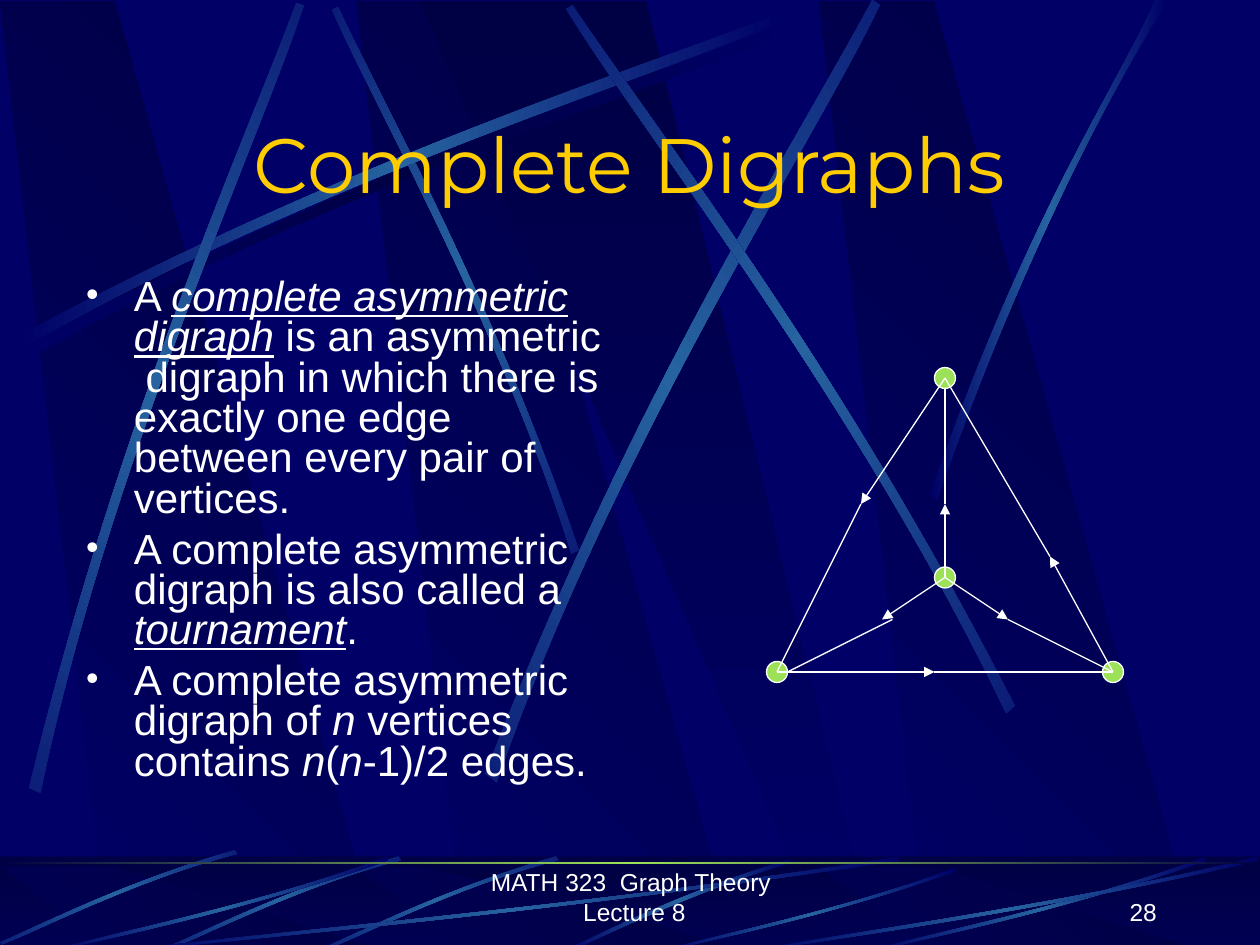
from math import cos, radians, sin

from lxml import etree
from pptx import Presentation
from pptx.dml.color import RGBColor
from pptx.enum.shapes import MSO_CONNECTOR, MSO_SHAPE
from pptx.enum.text import MSO_ANCHOR, MSO_AUTO_SIZE, PP_ALIGN
from pptx.oxml.ns import qn
from pptx.util import Inches, Pt

RECT, OVAL = MSO_SHAPE.RECTANGLE, MSO_SHAPE.OVAL
LINE = MSO_CONNECTOR.STRAIGHT
LEFT, MID, RIGHT = PP_ALIGN.LEFT, PP_ALIGN.CENTER, PP_ALIGN.RIGHT

NAVY, DARK, BLUE = "000066", "000044", "2663A0"
GREEN, WHITE, GOLD = "9CE157", "FFFFFF", "FFCC00"
GLOW = (NAVY, BLUE, NAVY)

# A streak is a curve out and a curve back, four points each.
LONG = [(0.14, 2.67), (2.78, 1.25), (5.18, 0.51), (6.2, 0.1),
        (6.23, 0.16), (5.22, 0.61), (2.48, 1.43), (0.17, 2.77)]
TILTED = [  # turn, centre, points
    (45, (3.62, 2.23),
     [(4.6, 4.36), (3.91, 2.34), (3.02, 0.77), (2.69, 0.05),
      (2.64, 0.07), (2.95, 0.79), (3.98, 2.58), (4.54, 4.39)]),
    (0, (3.18, 1.44), LONG),
    (311.7, (1.33, 3.16),
     [(0.23, 6.25), (0.93, 3.34), (1.97, 1.05), (2.35, 0.02),
      (2.41, 0.04), (2.07, 1.08), (0.86, 3.68), (0.32, 6.29)]),
    (321.6, (5.43, 3.11),
     [(3.85, 6.14), (4.98, 3.2), (6.38, 1.02), (6.92, 0),
      (6.98, 0.04), (6.49, 1.08), (4.86, 3.55), (3.94, 6.21)]),
    (34.8, (6.27, 2.86),
     [(8.06, 5.6), (6.7, 2.93), (5.16, 0.95), (4.55, 0.04),
      (4.5, 0.07), (5.07, 1.01), (6.85, 3.25), (7.99, 5.66)]),
    (0, (8.33, 1.99),
     [(7.38, 3.93), (8.14, 1.73), (8.88, 0.66), (9.17, 0),
      (9.27, 0), (8.36, 1.45), (7.69, 3.22), (7.44, 3.97)]),
]
ARC = [(4.42, 6.8), (3.55, 7.05), (2.87, 7.4), (2.56, 7.53),
       (2.57, 7.55), (2.88, 7.43), (3.65, 7.03), (4.44, 6.83)]
CREST = [(6.27, 6.82), (5.37, 7.09), (4.77, 7.42), (4.48, 7.54),
         (4.53, 7.55), (4.9, 7.37), (5.71, 7), (6.28, 6.85)]
SWEEP = [(3.08, 6.83), (1.93, 7.23), (0.88, 7.44), (0.43, 7.55),
         (0.42, 7.54), (0.86, 7.41), (2.06, 7.18), (3.07, 6.8)]
SWEEPS = [(1, 2.31, 0), (0.42, 1, 0), (5.27, 0.87, 0.09),
          (6.92, 1, 0), (6, 1.5, 0)]  # left, stretch, drop

POINTS = [
    [("A ", ""), ("complete asymmetric digraph", "iu"),
     (" is an asymmetric  digraph in which there is exactly one edge "
      "between every pair of vertices.", "")],
    [("A complete asymmetric digraph is also called a ", ""),
     ("tournament", "iu"), (".", "")],
    [("A complete asymmetric digraph of ", ""), ("n", "i"),
     (" vertices contains ", ""), ("n", "i"), ("(", ""), ("n", "i"),
     ("-1)/2 edges.", "")],
]

# The graph lies on a grid of twelfths of an inch.
WEST, EAST, TOP, HUB = (74, 64), (106, 64), (90, 36), (90, 55)
EDGES = [  # start, arrow tip, start of the rest, end
    (WEST, (89, 64), (89, 64), EAST),
    (EAST, (100, 53), (100, 53), TOP),
    (TOP, (82, 48), (82, 48), WEST),
    (HUB, (90, 48), (90, 48), (90, 37)),
    (HUB, (84, 59), (85, 59), (75, 64)),
    (HUB, (96, 59), (96, 59), EAST),
]


def rgb(code):
    return RGBColor.from_string(code)


def sub(node, tag, **attrs):
    return etree.SubElement(node, qn(tag), attrs)


def blend(shape, codes, angle):
    """Fill with evenly spaced colours; the angle runs clockwise."""
    shape.shadow.inherit = False
    shape.line.fill.background()
    shape.fill.gradient()
    shape.fill.gradient_angle = -angle % 360
    stops = shape._element.spPr.find(qn("a:gradFill")).find(qn("a:gsLst"))
    for stop in list(stops):
        stops.remove(stop)
    for i, code in enumerate(codes):
        spot = sub(stops, "a:gs", pos=str(100000 * i // (len(codes) - 1)))
        sub(spot, "a:srgbClr", val=code)


def outline(shapes, spots, codes, angle=0):
    spots = [(Inches(x), Inches(y)) for x, y in spots]
    pen = shapes.build_freeform(*spots[0], scale=1.0)
    pen.add_line_segments(spots[1:], close=True)
    shape = pen.convert_to_shape()
    blend(shape, codes, angle)
    return shape


def bend(shape):
    """Turn lines 1 to 3 and 5 to 7 of an outline into two curves."""
    lines = list(shape._element.spPr.iter(qn("a:lnTo")))
    for trio in (lines[:3], lines[4:7]):
        arc = etree.Element(qn("a:cubicBezTo"))
        trio[0].addprevious(arc)
        for line in trio:
            arc.append(line[0])
            line.getparent().remove(line)


def streak(shapes, spots, codes=GLOW, turn=0, hub=(0, 0)):
    """Draw a streak level about its hub, then turn it into place."""
    cs, sn = cos(radians(turn)), sin(radians(turn))
    level = []
    for x, y in spots:
        dx, dy = x - hub[0], y - hub[1]
        level.append((hub[0] + dx * cs + dy * sn, hub[1] - dx * sn + dy * cs))
    shape = outline(shapes, level, codes)
    bend(shape)
    shape.rotation = turn


def shift(spots, dx, dy):
    return [(x + dx, y + dy) for x, y in spots]


def shards(shapes, top, base):
    for x in (2.83, 0, 6.5):
        spots = [(0.86, base), (3.02, base), (0.91, top), (0, top)]
        outline(shapes, shift(spots, x, 0), (NAVY, DARK), 315)
    outline(shapes, [(3.33, top), (6.58, base), (6.94, base), (5.13, top)],
            (DARK, NAVY), 90)


def block(shapes, kind, x, y, w, h):
    shape = shapes.add_shape(kind, Inches(x), Inches(y), Inches(w), Inches(h))
    shape.shadow.inherit = False
    return shape


def backdrop(shapes):
    shards(shapes, 0.01, 7.52)
    streak(shapes, shift(LONG, 0.06, 0.08), (NAVY, DARK, NAVY))
    for turn, hub, spots in TILTED:
        streak(shapes, spots, GLOW, turn, hub)

    blend(block(shapes, RECT, 0, 6.8, 10, 0.75), (DARK, NAVY), 90)
    shards(shapes, 6.88, 7.54)
    veil = block(shapes, RECT, 0, 6.79, 10, 0.75)
    veil.line.fill.background()
    veil.fill.solid()
    veil.fill.fore_color.rgb = rgb(DARK)
    tint = veil._element.spPr.find(qn("a:solidFill"))[0]
    sub(tint, "a:alpha", val="50000")

    streak(shapes, CREST)
    for dx, dy in ((0, 0), (-1.25, 0), (-2.55, -0.05)):
        streak(shapes, shift(ARC, dx, dy), GLOW, 314.9, (3.5 + dx, 7.17 + dy))
    for left, wide, drop in SWEEPS:
        tall = 1 - drop / 0.75
        streak(shapes, [(left + (x - 0.42) * wide, 7.55 + (y - 7.55) * tall)
                        for x, y in SWEEP])
    blend(block(shapes, RECT, 0, 6.84, 10, 0.02), (DARK, GREEN, DARK), 0)


def to_master(slide, master):
    """Move all but the placeholders to the back of the master."""
    tree = master.shapes._spTree
    parts = [s for s in slide.shapes if not s.is_placeholder]
    for i, part in enumerate(parts):
        part._element.nvSpPr.cNvPr.set("id", str(100 + i))
        tree.insert(2 + i, part._element)


def place(shape, x, y, w, h, anchor):
    shape.left, shape.top = Inches(x), Inches(y)
    shape.width, shape.height = Inches(w), Inches(h)
    frame = shape.text_frame
    frame.word_wrap = True
    frame.auto_size = MSO_AUTO_SIZE.NONE
    frame.vertical_anchor = anchor
    return frame


def style(para, size, code, align, name="Arial"):
    para.alignment = align
    font = para.font
    font.size, font.name, font.color.rgb = Pt(size), name, rgb(code)


def bullets(frame):
    for i, runs in enumerate(POINTS):
        para = frame.add_paragraph() if i else frame.paragraphs[0]
        props = para._p.get_or_add_pPr()
        props.set("marL", str(Inches(0.38)))
        props.set("indent", str(-Inches(0.38)))
        sub(sub(props, "a:buClr"), "a:srgbClr", val=WHITE)
        sub(props, "a:buSzPct", val="85000")
        sub(props, "a:buChar", char="•")
        para.line_spacing = 0.8
        para.space_before = Pt(6 if i else 0)
        style(para, 24, WHITE, LEFT)
        for text, look in runs:
            run = para.add_run()
            run.text = text
            if look:
                run.font.italic = True
                run.font.underline = "u" in look


def note(shapes, text, x, w, align):
    frame = place(shapes.add_textbox(0, 0, 0, 0), x, 6.9, w, 0.5,
                  MSO_ANCHOR.BOTTOM)
    frame.text = text
    style(frame.paragraphs[0], 14, WHITE, align)


def node(shapes, x, y):
    dot = block(shapes, OVAL, (x - 1) / 12, (y - 1) / 12, 2 / 12, 2 / 12)
    dot.fill.solid()
    dot.fill.fore_color.rgb = rgb(GREEN)
    dot.line.color.rgb, dot.line.width = rgb(WHITE), Pt(0.75)


def link(shapes, start, end, arrow=False):
    line = shapes.add_connector(LINE, *(Inches(n / 12) for n in start + end))
    line.line.color.rgb, line.line.width = rgb(WHITE), Pt(0.75)
    if arrow:
        sub(line.line._get_or_add_ln(), "a:tailEnd", type="triangle")
    sub(line._element.spPr, "a:effectLst")


def main():
    deck = Presentation()
    deck.slide_width, deck.slide_height = Inches(10), Inches(7.5)
    slide = deck.slides.add_slide(deck.slide_layouts[1])
    slide.background.fill.solid()
    slide.background.fill.fore_color.rgb = rgb(NAVY)
    shapes = slide.shapes
    backdrop(shapes)
    to_master(slide, deck.slide_master)

    title, body = slide.placeholders
    head = place(title, 0.75, 0.88, 8.5, 0.83, MSO_ANCHOR.MIDDLE)
    head.text = "Complete Digraphs"
    style(head.paragraphs[0], 44, GOLD, MID, "Montserrat")
    bullets(place(body, 7 / 12, 26 / 12, 52 / 12, 4.5, MSO_ANCHOR.TOP))
    note(shapes, "MATH 323  Graph Theory  Lecture 8", 3.45, 3.17, MID)
    note(shapes, "28", 7.2, 2.08, RIGHT)

    for spot in (EAST, WEST, TOP, HUB):
        node(shapes, *spot)
    for start, tip, rest, end in EDGES:
        link(shapes, start, tip, arrow=True)
        link(shapes, rest, end)
    deck.save("out.pptx")


if __name__ == "__main__":
    main()
